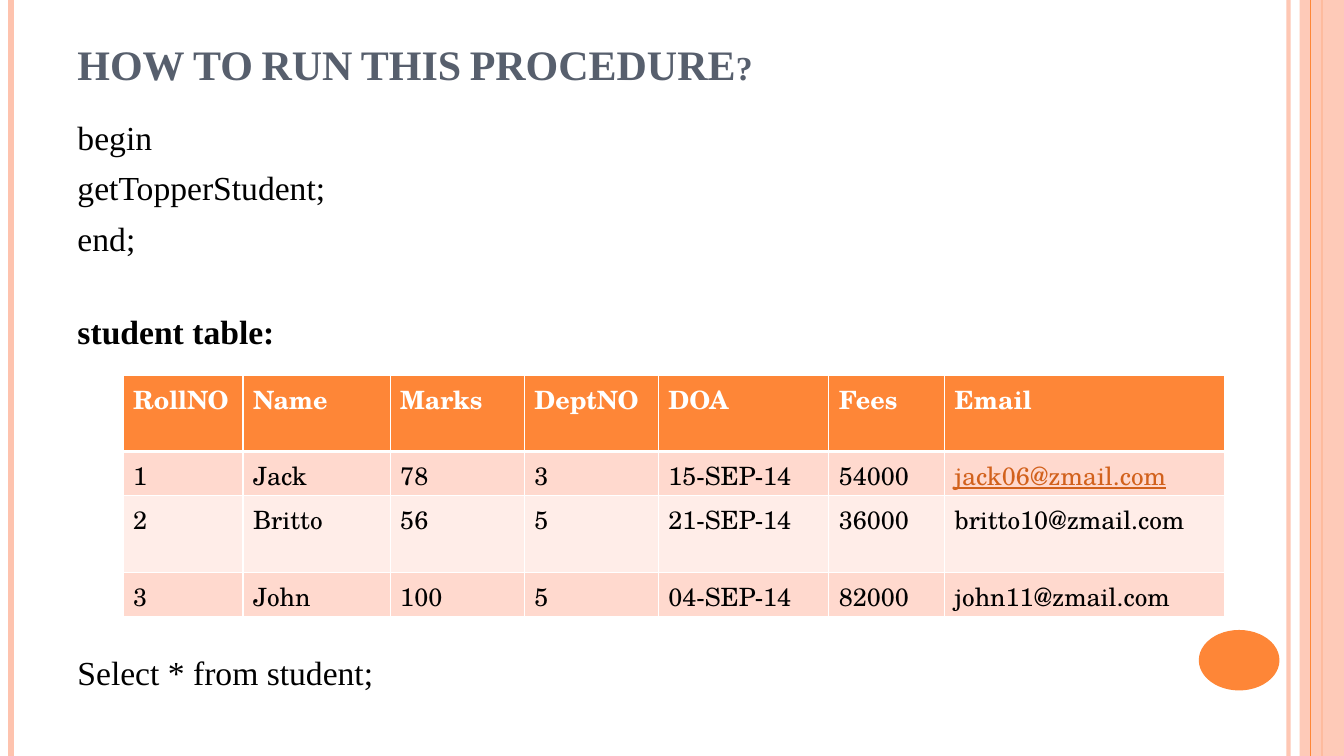
import dataclasses

import pptx
import pptx.dml.color
import pptx.enum.shapes
import pptx.enum.text
import pptx.oxml.ns
import pptx.util
from lxml import etree
from pptx.util import Inches


@dataclasses.dataclass(frozen=True)
class Theme:
    accent: str = "FE8637"
    pale_accent: str = "FEC3AE"
    title: str = "575F6D"
    text: str = "000000"
    white: str = "FFFFFF"
    link: str = "D2611C"
    bands: tuple = ("FFD9CE", "FFEDE8")
    text_font: str = "Times New Roman"
    table_font: str = "TeX Gyre Schola"
    title_size: int = 30
    body_size: int = 24
    table_size: int = 18


THEME = Theme()
SLIDE_HEIGHT = 7.5
COLUMN_WIDTHS = (1.19, 1.46, 1.33, 1.33, 1.69, 1.15, 2.78)
ROW_HEIGHTS = (0.76, 0.44, 0.76, 0.44)
STUDENTS = (
    ("RollNO", "Name", "Marks", "DeptNO", "DOA", "Fees", "Email"),
    ("1", "Jack", "78", "3", "15-SEP-14", "54000", "jack06@zmail.com"),
    ("2", "Britto", "56", "5", "21-SEP-14", "36000", "britto10@zmail.com"),
    ("3", "John", "100", "5", "04-SEP-14", "82000", "john11@zmail.com"),
)


def rgb(color):
    return pptx.dml.color.RGBColor.from_string(color)


def add_element(parent, tag, **attributes):
    return etree.SubElement(parent, pptx.oxml.ns.qn(tag), **attributes)


def set_opacity(element, percent):
    """Make the solid colour inside a shape or line partly transparent."""
    color = element.find(".//" + pptx.oxml.ns.qn("a:srgbClr"))
    add_element(color, "a:alpha", val=str(percent * 1000))


def set_font(font, size, color, name, bold=False):
    font.size = pptx.util.Pt(size)
    font.color.rgb = rgb(color)
    font.name = name
    font.bold = bold


def add_vertical_rule(slide, x, color, width, opacity=100):
    rule = slide.shapes.add_connector(
        pptx.enum.shapes.MSO_CONNECTOR.STRAIGHT,
        Inches(x), 0, Inches(x), Inches(SLIDE_HEIGHT))
    rule.line.color.rgb = rgb(color)
    rule.line.width = pptx.util.Pt(width)
    properties = rule._element.spPr
    if opacity < 100:
        set_opacity(properties, opacity)
    add_element(properties, "a:effectLst")


def add_filled_shape(slide, kind, left, top, width, height, color, opacity=100):
    shape = slide.shapes.add_shape(
        kind, Inches(left), Inches(top), Inches(width), Inches(height))
    shape.shadow.inherit = False
    shape.fill.solid()
    shape.fill.fore_color.rgb = rgb(color)
    shape.line.fill.background()
    if opacity < 100:
        set_opacity(shape._element.spPr, opacity)


def add_text(slide, top, height, lines, size, color, bold=False):
    box = slide.shapes.add_textbox(
        Inches(0.67), Inches(top), Inches(10.89), Inches(height))
    frame = box.text_frame
    frame.word_wrap = True
    frame.text = "\n".join(lines)
    for index, paragraph in enumerate(frame.paragraphs):
        set_font(paragraph.font, size, color, THEME.text_font, bold)
        if index:
            paragraph.space_before = pptx.util.Pt(7.2)
    return frame


def add_title(slide, title):
    frame = add_text(slide, 0.3, 0.63, [title], THEME.title_size, THEME.title, True)
    frame.vertical_anchor = pptx.enum.text.MSO_ANCHOR.BOTTOM
    run = frame.paragraphs[0].runs[0]
    run.font._element.set("cap", "small")


def set_borders(cell, top, bottom):
    properties = cell._tc.get_or_add_tcPr()
    for side, width in (("L", 1), ("R", 1), ("T", top), ("B", bottom)):
        line = add_element(properties, "a:ln" + side, w=str(pptx.util.Pt(width)))
        fill = add_element(line, "a:solidFill")
        add_element(fill, "a:srgbClr", val=THEME.white)


def add_student_table(slide):
    table = slide.shapes.add_table(
        len(STUDENTS), len(COLUMN_WIDTHS), Inches(1.22), Inches(3.72),
        Inches(sum(COLUMN_WIDTHS)), Inches(sum(ROW_HEIGHTS))).table
    for column, width in zip(table.columns, COLUMN_WIDTHS):
        column.width = Inches(width)
    for row_index, values in enumerate(STUDENTS):
        table.rows[row_index].height = Inches(ROW_HEIGHTS[row_index])
        header = row_index == 0
        background = THEME.accent if header else THEME.bands[(row_index - 1) % 2]
        for cell, value in zip(table.rows[row_index].cells, values):
            # The rule under the header is the heavy one
            set_borders(cell, 3 if row_index == 1 else 1, 3 if header else 1)
            cell.fill.solid()
            cell.fill.fore_color.rgb = rgb(background)
            cell.text = value
            set_font(cell.text_frame.paragraphs[0].font, THEME.table_size,
                     THEME.white if header else THEME.text,
                     THEME.table_font, header)
    # The first address is styled as a link
    link_font = table.cell(1, 6).text_frame.paragraphs[0].font
    link_font.color.rgb = rgb(THEME.link)
    link_font.underline = True


def add_decoration(slide):
    shapes = pptx.enum.shapes.MSO_SHAPE
    add_vertical_rule(slide, 12.78, THEME.pale_accent, 3, 93)
    add_vertical_rule(slide, 0.11, THEME.pale_accent, 4.5)
    add_vertical_rule(slide, 13.11, THEME.accent, 1.5)
    add_filled_shape(slide, shapes.RECTANGLE, 12.89, 0, 0.44, SLIDE_HEIGHT,
                     THEME.pale_accent, 87)
    add_vertical_rule(slide, 13, THEME.accent, 0.75)
    add_filled_shape(slide, shapes.OVAL, 11.89, 6.25, 0.8, 0.6, THEME.accent)


def main():
    presentation = pptx.Presentation()
    presentation.slide_width = Inches(13.33)
    presentation.slide_height = Inches(SLIDE_HEIGHT)
    slide = presentation.slides.add_slide(presentation.slide_layouts[6])

    # Side bands and page marker
    add_decoration(slide)

    # Title and statements
    add_title(slide, "HOW TO RUN THIS PROCEDURE?")
    call = ["begin", "getTopperStudent;", "end;"]
    add_text(slide, 1.11, 1.5, call, THEME.body_size, THEME.text)
    add_text(slide, 3.04, 0.5, ["student table:"], THEME.body_size, THEME.text, True)
    add_text(slide, 6.42, 0.5, ["Select * from student;"], THEME.body_size, THEME.text)

    # Student records
    add_student_table(slide)

    presentation.save("out.pptx")


if __name__ == "__main__":
    main()
